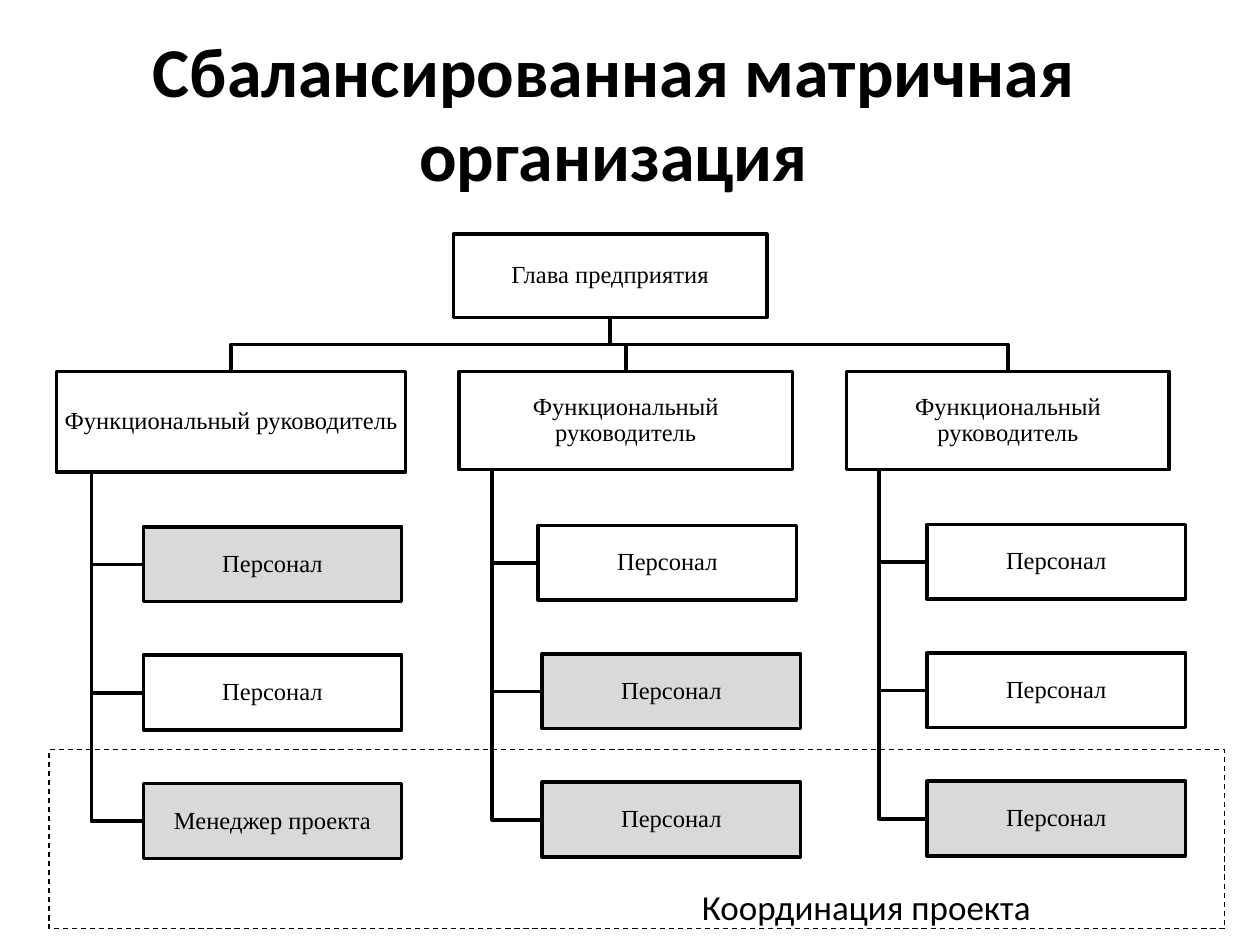
from dataclasses import dataclass

from pptx import Presentation
from pptx.dml.color import RGBColor
from pptx.enum.dml import MSO_LINE
from pptx.enum.shapes import MSO_SHAPE
from pptx.enum.text import MSO_ANCHOR, PP_ALIGN
from pptx.util import Cm, Pt

RECTANGLE = MSO_SHAPE.RECTANGLE
DASH = MSO_LINE.DASH
TOP, MIDDLE = MSO_ANCHOR.TOP, MSO_ANCHOR.MIDDLE
LEFT, CENTER = PP_ALIGN.LEFT, PP_ALIGN.CENTER


@dataclass(frozen=True)
class Theme:
    ink: RGBColor = RGBColor(0x00, 0x00, 0x00)
    project: RGBColor = RGBColor(0xD9, 0xD9, 0xD9)
    heading_font: str = "Calibri"
    chart_font: str = "Times New Roman"
    title_size: float = 40
    label_size: float = 20
    node_size: float = 14
    node_line: float = 2
    frame_line: float = 0.75


@dataclass(frozen=True)
class Area:
    left: float
    top: float
    width: float
    height: float

    @property
    def bottom(self) -> float:
        return self.top + self.height

    @property
    def center(self) -> float:
        return self.left + self.width / 2

    def lengths(self) -> tuple:
        return Cm(self.left), Cm(self.top), Cm(self.width), Cm(self.height)


@dataclass(frozen=True)
class Staff:
    text: str = "Персонал"
    in_project: bool = False
    shift: float = 0


@dataclass(frozen=True)
class Department:
    manager: Area
    staff_left: float
    staff_top: float
    staff: tuple[Staff, ...]


THEME = Theme()
HEAD = Area(9.14, 4.72, 6.32, 1.68)
MANAGER_TOP = 7.49
STAFF_WIDTH, STAFF_HEIGHT, STAFF_PITCH = 5.21, 1.51, 2.59
TRUNK_SHARE = 0.1

MEMBER = Staff()
PROJECT_MEMBER = Staff(in_project=True)
DEPARTMENTS = (
    Department(Area(1.14, MANAGER_TOP, 7.04, 2.03), 2.89, 10.62,
               (PROJECT_MEMBER, MEMBER, Staff("Менеджер проекта", True))),
    Department(Area(9.25, MANAGER_TOP, 6.73, 1.98), 10.93, 10.59,
               (Staff(shift=-0.08), PROJECT_MEMBER, PROJECT_MEMBER)),
    Department(Area(17.07, MANAGER_TOP, 6.5, 1.98), 18.69, 10.57,
               (MEMBER, MEMBER, PROJECT_MEMBER)),
)


def write_text(shape, text: str, *, font: str, size: float, bold: bool = False,
               align=CENTER, anchor=TOP, spacing: float | None = None,
               inset: float | None = None) -> None:
    frame = shape.text_frame
    frame.word_wrap = True
    frame.vertical_anchor = anchor
    if inset is not None:
        frame.margin_left = frame.margin_right = Cm(inset)
        frame.margin_top = frame.margin_bottom = Cm(inset)
    para = frame.paragraphs[0]
    para.alignment = align
    if spacing is not None:
        para.line_spacing = spacing
    span = para.add_run()
    span.text = text
    span.font.name = font
    span.font.size = Pt(size)
    span.font.bold = bold
    span.font.color.rgb = THEME.ink


def style_outline(shape, width: float) -> None:
    shape.shadow.inherit = False
    shape.fill.background()
    shape.line.color.rgb = THEME.ink
    shape.line.width = Pt(width)


def draw_link(page, *points: tuple[float, float]) -> None:
    corners = [(Cm(x), Cm(y)) for x, y in points]
    builder = page.shapes.build_freeform(*corners[0])
    builder.add_line_segments(corners[1:], close=False)
    style_outline(builder.convert_to_shape(), THEME.node_line)


def draw_node(page, area: Area, text: str, in_project: bool = False) -> None:
    box = page.shapes.add_shape(RECTANGLE, *area.lengths())
    style_outline(box, THEME.node_line)
    if in_project:
        box.fill.solid()
        box.fill.fore_color.rgb = THEME.project
    write_text(box, text, font=THEME.chart_font, size=THEME.node_size,
               anchor=MIDDLE, spacing=0.9, inset=0.03)


def draw_department(page, department: Department) -> None:
    manager = department.manager
    bus = (HEAD.bottom + manager.top) / 2
    draw_link(page, (HEAD.center, HEAD.bottom), (HEAD.center, bus),
              (manager.center, bus), (manager.center, manager.top))
    draw_node(page, manager, "Функциональный руководитель")
    trunk = manager.left + TRUNK_SHARE * manager.width
    for row, staff in enumerate(department.staff):
        area = Area(department.staff_left + staff.shift,
                    department.staff_top + row * STAFF_PITCH,
                    STAFF_WIDTH, STAFF_HEIGHT)
        middle = area.top + area.height / 2
        draw_link(page, (trunk, manager.bottom), (trunk, middle), (area.left, middle))
        draw_node(page, area, staff.text, staff.in_project)


def draw_coordination(page) -> None:
    frame = page.shapes.add_shape(RECTANGLE, *Area(0.99, 15.11, 23.7, 3.61).lengths())
    style_outline(frame, THEME.frame_line)
    frame.line.dash_style = DASH
    label = page.shapes.add_textbox(*Area(13.9, 17.73, 7.6, 1).lengths())
    write_text(label, "Координация проекта", font=THEME.heading_font,
               size=THEME.label_size, align=LEFT)


def main() -> None:
    deck = Presentation()
    deck.slide_width, deck.slide_height = Cm(25.4), Cm(19.05)
    page = deck.slides.add_slide(deck.slide_layouts[6])
    title = page.shapes.add_textbox(*Area(1.09, 0.43, 22.56, 3.68).lengths())
    write_text(title, "Сбалансированная матричная организация",
               font=THEME.heading_font, size=THEME.title_size, bold=True)
    for department in DEPARTMENTS:
        draw_department(page, department)
    draw_node(page, HEAD, "Глава предприятия")
    draw_coordination(page)
    deck.save("out.pptx")


main()
